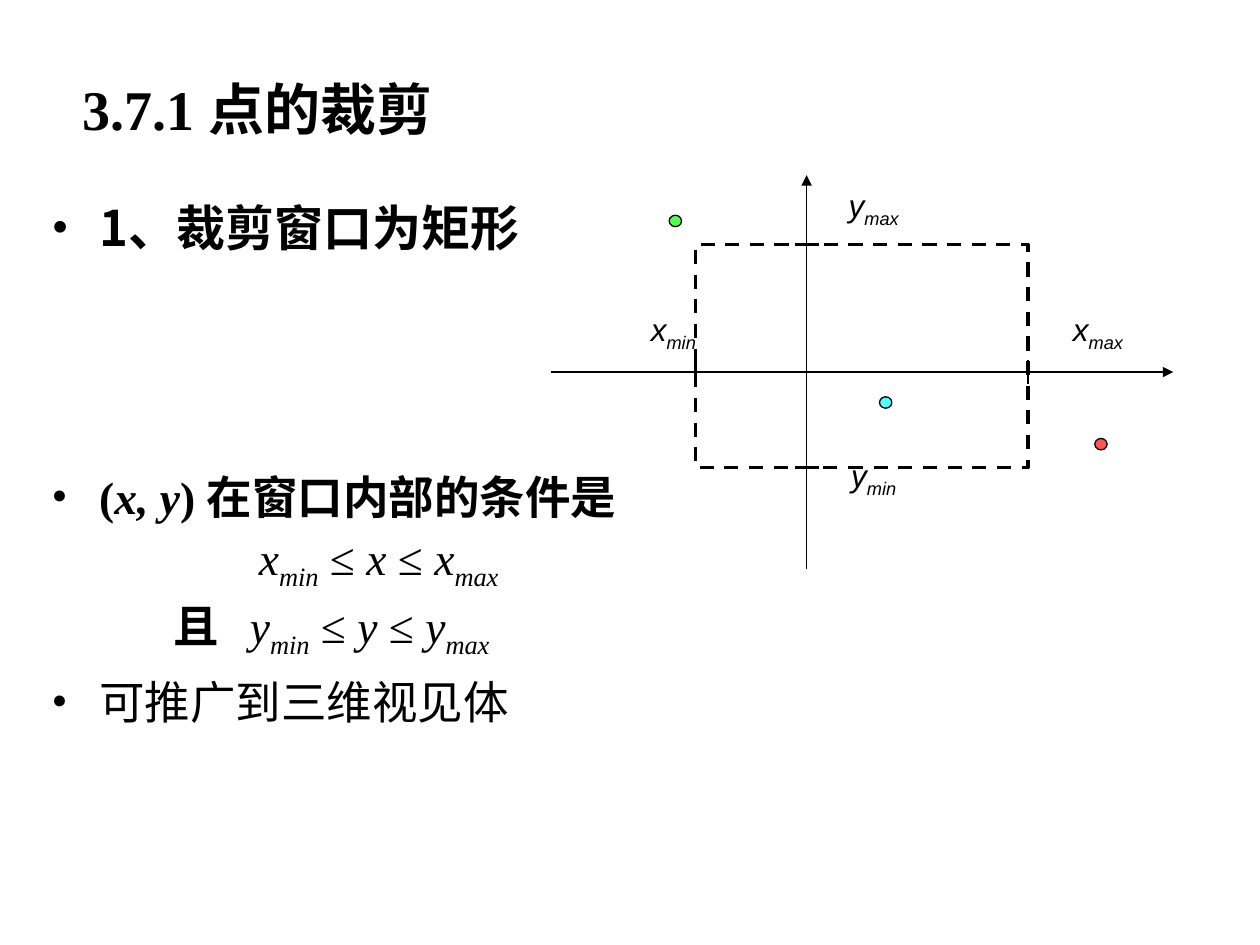
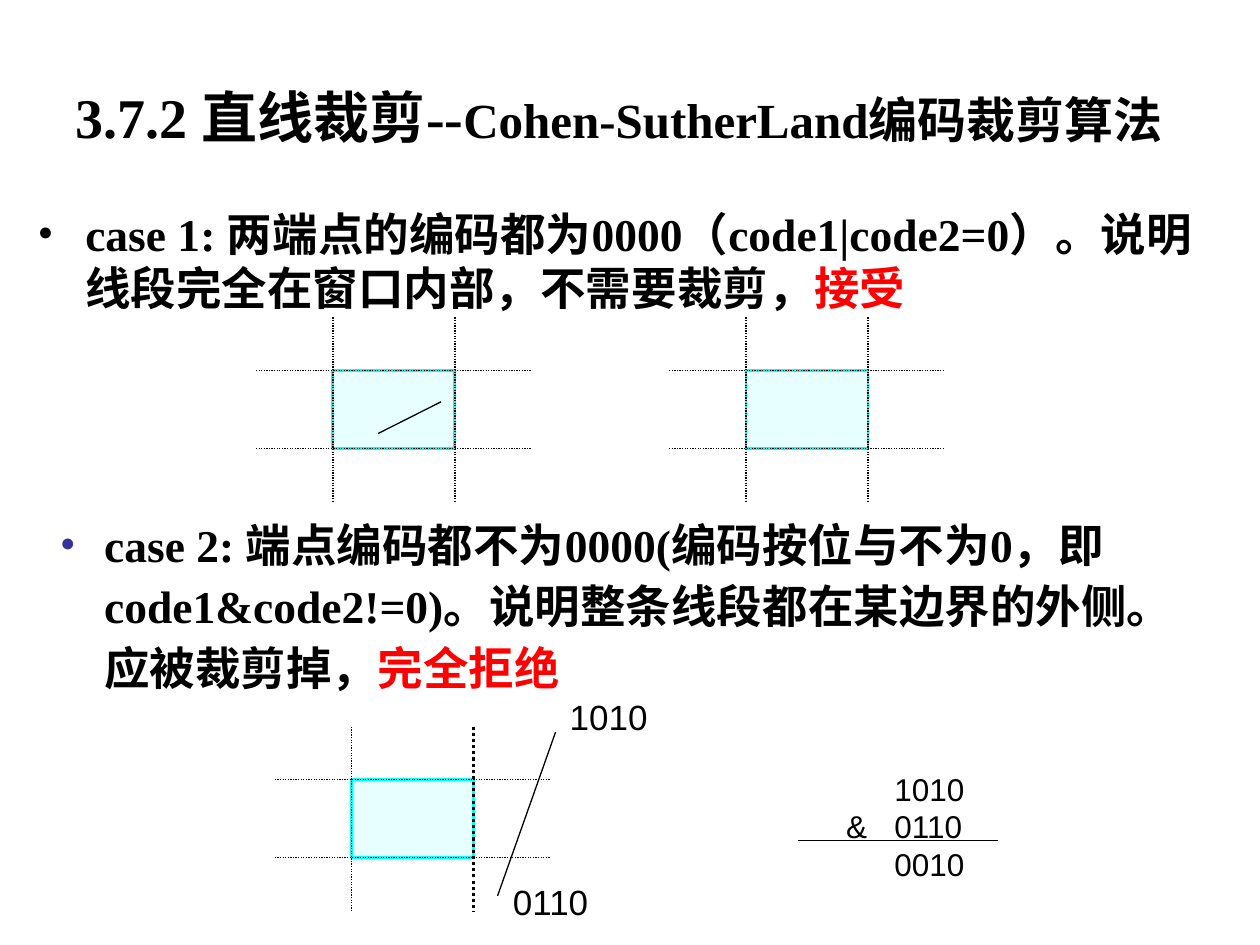
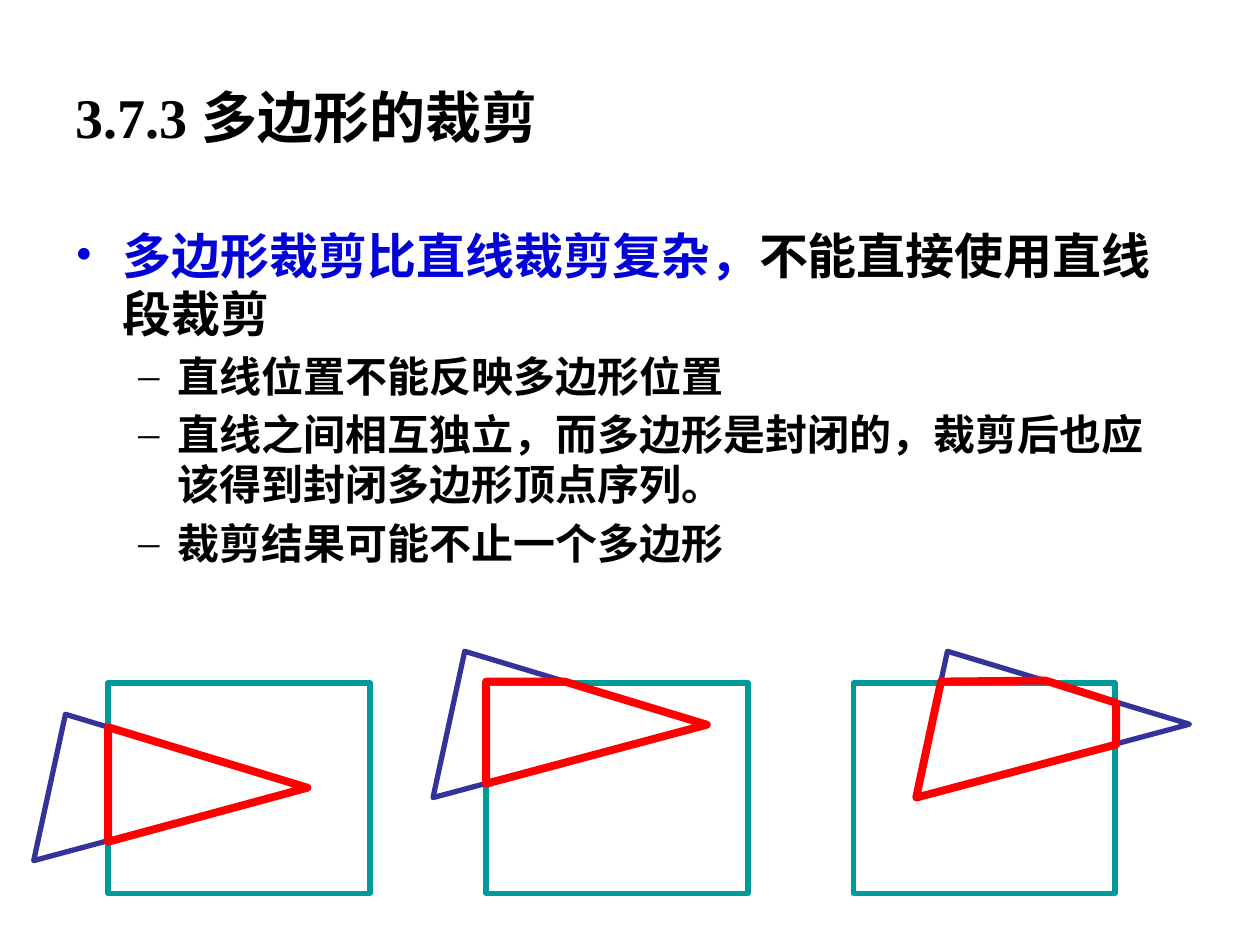
from dataclasses import dataclass

from lxml import etree
from pptx import Presentation
from pptx import util as u
from pptx.dml.color import RGBColor
from pptx.enum import dml, shapes, text
from pptx.oxml.ns import qn


@dataclass(frozen=True)
class Theme:
    black: str = "000000"
    white: str = "FFFFFF"
    red: str = "FF0000"
    green: str = "00FF00"
    cyan: str = "00FFFF"
    pale: str = "CCFFFF"
    teal: str = "009999"
    navy: str = "333399"
    blue: str = "0303D7"
    serif: str = "Times New Roman"
    sans: str = "Arial"
    cjk: str = "Noto Sans CJK SC"
    title: int = 32
    head: int = 28
    body: int = 26
    sub: int = 24
    code: int = 20
    label: int = 18
    leading: float = 1.19


T = Theme()
BULLET = dict(left=0.96, hang=0.96, bullet="•")
DASH = dict(left=2.06, hang=0.79, bullet="–", before=4.8)


def add_xml(parent, tag, **attrs):
    return etree.SubElement(parent, qn(tag), attrs)


def term(name, sub, **fmt):
    """A variable with a subscript, as two italic runs."""
    return [(name, dict(fmt, italic=True)), (sub, dict(fmt, italic=True, base=-25))]


def bounds(name):
    """The condition: min ≤ name ≤ max."""
    return [*term(name, "min"), (" ≤ ", {}), (name, dict(italic=True)),
            (" ≤ ", {}), *term(name, "max")]


class Deck:
    def __init__(self, theme):
        self.t = theme
        self.prs = Presentation()
        self.prs.slide_width, self.prs.slide_height = u.Cm(25.4), u.Cm(19.05)
        self.s = None

    # Text
    def runs(self, p, parts, **base):
        for words, own in parts:
            fmt = dict(size=self.t.body, name=self.t.serif, color=self.t.black,
                       bold=False, italic=False, base=0)
            fmt.update(base)
            fmt.update(own)
            r = p.add_run()
            r.text = words
            r.font.color.rgb = RGBColor.from_string(fmt.pop("color"))
            shift = fmt.pop("base")
            fmt["size"] = u.Pt(fmt["size"])
            for key, value in fmt.items():
                setattr(r.font, key, value)
            rPr = r._r.get_or_add_rPr()
            add_xml(rPr, "a:ea", typeface=self.t.cjk)
            if shift:
                rPr.set("baseline", str(shift * 1000))

    def title(self, parts, x=1.27, y=0.76, w=22.86):
        self.s = self.prs.slides.add_slide(self.prs.slide_layouts[5])
        sp = self.s.shapes.title
        for key, value in dict(left=x, top=y, width=w, height=3.18).items():
            setattr(sp, key, u.Cm(value))
        tf = sp.text_frame
        tf.auto_size = text.MSO_AUTO_SIZE.NONE
        tf.vertical_anchor = text.MSO_ANCHOR.MIDDLE
        p = tf.paragraphs[0]
        p.alignment = text.PP_ALIGN.LEFT
        self.runs(p, parts, size=self.t.title, bold=True)

    def box(self, x, y, w, h, pad=0.13):
        tf = self.s.shapes.add_textbox(*map(u.Cm, (x, y, w, h))).text_frame
        tf.word_wrap = True
        tf.margin_top = u.Cm(pad)
        return tf

    def paragraphs(self, x, y, w, h, items, pad=0.23, **base):
        """Items are (runs, paragraph format) pairs."""
        tf = self.box(x, y, w, h, pad)
        size = base.get("size", self.t.body)
        for i, (parts, fmt) in enumerate(items):
            p = tf.add_paragraph() if i else tf.paragraphs[0]
            points = fmt.get("size", size)
            p.line_spacing = u.Pt(fmt.get("leading", points * self.t.leading))
            p.space_before = u.Pt(fmt.get("before", 0) if i else 0)
            pPr = p._p.get_or_add_pPr()
            pPr.set("marL", str(u.Cm(fmt.get("left", 0))))
            pPr.set("indent", str(-u.Cm(fmt.get("hang", 0))))
            if "bullet" in fmt:
                if "mark" in fmt:
                    add_xml(add_xml(pPr, "a:buClr"), "a:srgbClr", val=fmt["mark"])
                add_xml(pPr, "a:buFont", typeface=self.t.serif)
                add_xml(pPr, "a:buChar", char=fmt["bullet"])
            self.runs(p, parts, **dict(base, size=points))

    def label(self, x, y, parts, w, size):
        p = self.box(x, y, w, 1.1).paragraphs[0]
        p.alignment = text.PP_ALIGN.CENTER
        self.runs(p, parts, name=self.t.sans, size=size)

    # Shapes
    def stroke(self, line, color, width, dash=None):
        line.color.rgb = RGBColor.from_string(color)
        line.width = u.Pt(width)
        if dash:
            line.dash_style = dash

    def shape(self, kind, x, y, w, h, line, width, fill=None, alpha=None, dash=None):
        sp = self.s.shapes.add_shape(kind, *map(u.Cm, (x, y, w, h)))
        sp.shadow.inherit = False
        if fill:
            sp.fill.solid()
            sp.fill.fore_color.rgb = RGBColor.from_string(fill)
        else:
            sp.fill.background()
        if alpha:
            clr = sp._element.spPr.find(".//" + qn("a:srgbClr"))
            add_xml(clr, "a:alpha", val=str(alpha * 1000))
        self.stroke(sp.line, line, width, dash)

    def rect(self, *args, **fmt):
        self.shape(shapes.MSO_SHAPE.RECTANGLE, *args, **fmt)

    def dot(self, x, y, fill):
        self.shape(shapes.MSO_SHAPE.OVAL, x, y, 0.25, 0.23, self.t.black, 0.75,
                   fill=fill, alpha=67)

    def line(self, x1, y1, x2, y2, width=0.75, dash=None, arrow=False):
        sp = self.s.shapes.add_connector(shapes.MSO_CONNECTOR.STRAIGHT,
                                         *map(u.Cm, (x1, y1, x2, y2)))
        self.stroke(sp.line, self.t.black, width, dash)
        if arrow:
            add_xml(sp.line._get_or_add_ln(), "a:tailEnd", type="triangle")
        add_xml(sp._element.spPr, "a:effectLst")

    def polygon(self, points, color, width):
        start, *rest = [(u.Cm(x), u.Cm(y)) for x, y in points]
        fb = self.s.shapes.build_freeform(*start, scale=1.0)
        fb.add_line_segments(rest, close=True)
        sp = fb.convert_to_shape()
        sp.shadow.inherit = False
        sp.fill.background()
        self.stroke(sp.line, color, width)

    def window(self, x, y, right_width=0.75):
        """Clip window with its four extended edges."""
        w, h = 2.46, 1.57
        dots = dml.MSO_LINE.ROUND_DOT
        self.rect(x, y, w, h, self.t.cyan, 1.5, fill=self.t.pale, alpha=46)
        for edge in (y, y + h):
            self.line(x - 1.55, edge, x + 4.01, edge, dash=dots)
        for edge, width in ((x, 0.75), (x + w, right_width)):
            self.line(edge, y - 1.07, edge, y + 2.67, width, dots)


def point_clipping(d):
    d.title([("3.7.1 点的裁剪", {})], x=1.4, y=0.58)
    d.paragraphs(0.79, 3.76, 23.5, 14.66, [
        ([("1、裁剪窗口为矩形", dict(name=T.cjk, bold=True))], dict(BULLET, size=T.head)),
        ([("(", dict(bold=True)), ("x, y", dict(bold=True, italic=True)),
          (") 在窗口内部的条件是", dict(bold=True))], dict(BULLET, before=122)),
        (bounds("x"), dict(left=4.18, before=8)),
        ([("且\t", dict(bold=True)), *bounds("y")], dict(left=4.0, hang=1.54, before=8)),
        ([("可推广到三维视见体", {})], dict(BULLET, before=8)),
    ])
    # Axes and clip window
    left, top, w, h = 14.02, 4.93, 6.7, 4.5
    axis_x, axis_y, tick = 16.26, 7.5, 0.24
    d.line(11.1, axis_y, 23.65, axis_y, arrow=True)
    d.line(axis_x, 11.48, axis_x, 3.53, arrow=True)
    d.rect(left, top, w, h, T.black, 2, dash=dml.MSO_LINE.DASH)
    for x in (left, left + w):
        d.line(x, axis_y - tick, x, axis_y + tick, 1.5)
    for y in (top, top + h):
        d.line(axis_x - tick, y, axis_x + tick, y, 1.5)
    # Points and limits
    for x, y, color in ((17.73, 8.0, T.cyan), (13.49, 4.34, T.green), (22.07, 8.84, T.red)):
        d.dot(x, y, color)
    for x, y, name, sub in ((12.09, 6.12, "x", "min"), (16.13, 3.63, "y", "max"),
                            (16.13, 9.07, "y", "min"), (20.65, 6.12, "x", "max")):
        d.label(x, y, term(name, sub), 2.97, T.label)


def line_clipping(d):
    d.title([("3.7.2 直线裁剪--", {}),
             ("Cohen-SutherLand编码裁剪算法", dict(size=T.head))], w=23.62)
    d.paragraphs(0.51, 3.94, 24.43, 2.82, [
        ([("case 1: 两端点的编码都为0000（code1|code2=0）。说明线段完全在窗口内部，不需要裁剪，", {}),
          ("接受", dict(color=T.red))], BULLET)], bold=True)
    d.paragraphs(0.89, 10.06, 23.67, 3.94, [
        ([("case 2: 端点编码都不为0000(编码按位与不为0，即code1&code2!=0)。"
           "说明整条线段都在某边界的外侧。应被裁剪掉，", {}),
          ("完全拒绝", dict(color=T.red))],
         dict(BULLET, hang=0.89, leading=35, mark=T.navy))], bold=True)
    # Windows and segments
    d.window(6.71, 7.47)
    d.window(15.04, 7.47)
    d.window(7.09, 15.72, right_width=1.75)
    d.line(7.62, 8.74, 8.89, 8.1)
    d.line(10.03, 18.06, 11.2, 14.76)
    d.label(11.1, 13.89, [("1010", {})], 2.34, T.code)
    d.label(9.93, 17.63, [("0110", {})], 2.34, T.code)
    # Bitwise AND
    column = dict(left=0.97)
    d.paragraphs(16.81, 15.39, 3.76, 2.6, [
        ([("1010", {})], column),
        ([("&\t0110", {})], dict(column, hang=0.97)),
        ([("0010", {})], column)], pad=0.13, name=T.sans, size=T.label)
    d.line(16.08, 16.94, 20.12, 16.94)


def polygon_clipping(d):
    d.title([("3.7.3 多边形的裁剪", {})])
    points = ("直线位置不能反映多边形位置",
              "直线之间相互独立，而多边形是封闭的，裁剪后也应该得到封闭多边形顶点序列。",
              "裁剪结果可能不止一个多边形")
    d.paragraphs(1.27, 4.32, 22.86, 7.59, [
        ([("多边形裁剪比直线裁剪复杂，", dict(color=T.blue)), ("不能直接使用直线段裁剪", {})],
         dict(BULLET, size=T.head)),
        *(([(words, {})], DASH) for words in points)], size=T.sub, name=T.cjk, bold=True)
    # Frame left, triangle apex and clipped outline of each example
    examples = (
        (2.18, (1.32, 14.4), [(2.18, 14.66), (6.2, 15.88), (2.18, 16.97)]),
        (9.8, (9.37, 13.13), [(11.38, 13.74), (14.25, 14.61), (9.8, 15.8), (9.8, 13.74)]),
        (17.2, (19.1, 13.13), [(18.97, 13.74), (21.08, 13.72), (22.5, 14.17),
                               (22.5, 15.01), (18.47, 16.08)]),
    )
    for left, (x, y), clipped in examples:
        d.rect(left, 13.77, 5.28, 4.24, T.teal, 3, fill=T.white)
        d.polygon([(x, y), (x + 4.88, y + 1.47), (x - 0.64, y + 2.95)], T.navy, 3)
        d.polygon(clipped, T.red, 4.5)


def main():
    d = Deck(T)
    for build in (point_clipping, line_clipping, polygon_clipping):
        build(d)
    d.prs.save("out.pptx")


if __name__ == "__main__":
    main()
